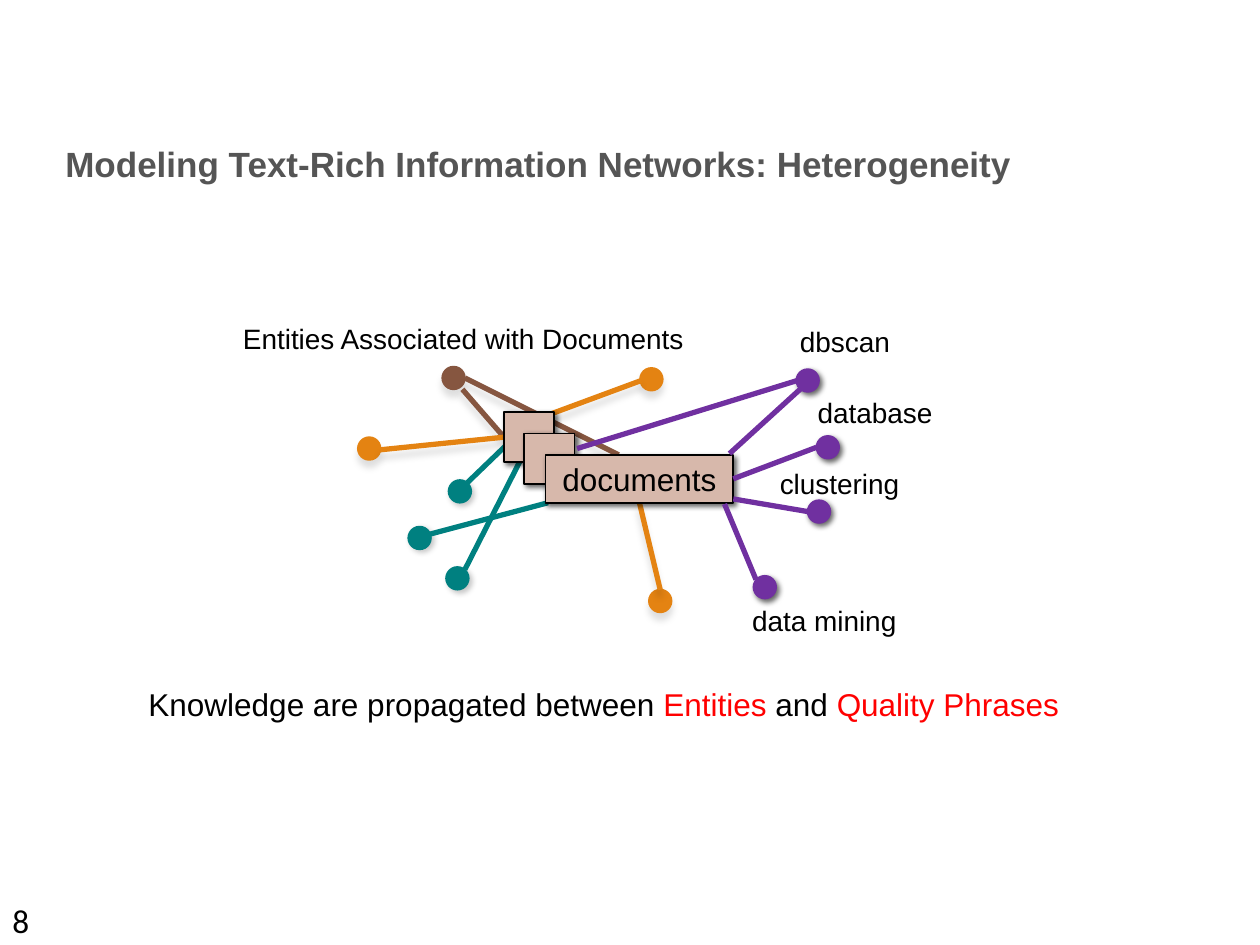
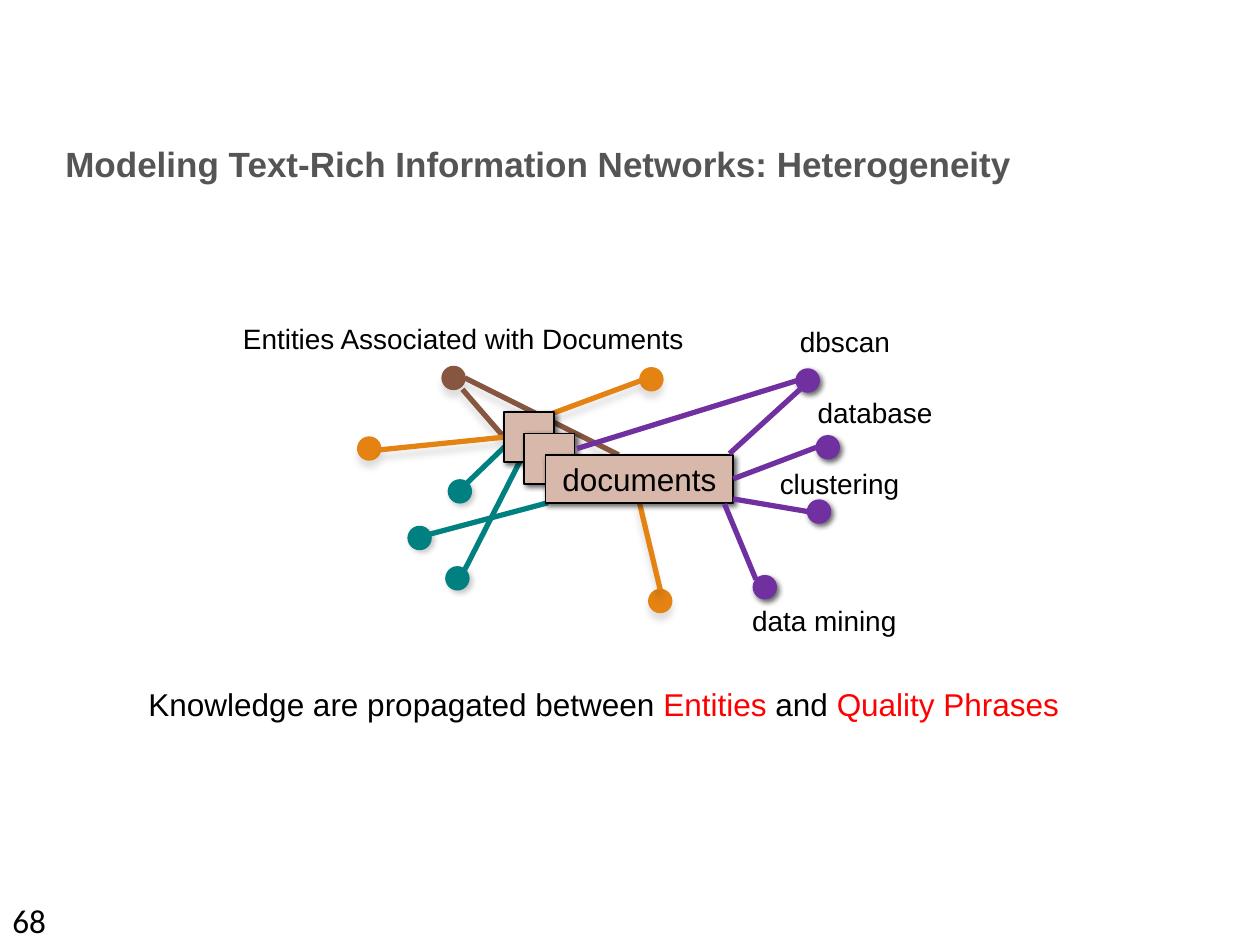
"""Build two slides on heterogeneity in text-rich information networks."""
from dataclasses import dataclass

from lxml import etree
from pptx import Presentation
from pptx.dml.color import RGBColor
from pptx.enum.shapes import MSO_CONNECTOR, MSO_SHAPE
from pptx.enum.text import MSO_ANCHOR, MSO_AUTO_SIZE, PP_ALIGN
from pptx.oxml.ns import qn
from pptx.util import Inches, Pt

OVAL, RECT = MSO_SHAPE.OVAL, MSO_SHAPE.RECTANGLE
STRAIGHT = MSO_CONNECTOR.STRAIGHT
CENTER, MIDDLE = PP_ALIGN.CENTER, MSO_ANCHOR.MIDDLE
FIT_SHAPE, FIT_NONE = MSO_AUTO_SIZE.SHAPE_TO_FIT_TEXT, MSO_AUTO_SIZE.NONE
LEFT, BOTTOM, RIGHT = 1, 2, 3


@dataclass(frozen=True)
class Theme:
    """Colours, fonts, sizes and shadows (opacity %, blur, distance, angle)."""
    font: str = "Arial"
    number_font: str = "Calibri"
    black: str = "000000"
    title: str = "555555"
    accent: str = "FF0000"
    orange: str = "E48312"
    teal: str = "008080"
    brown: str = "865640"
    purple: str = "7030A0"
    document: str = "D7B8AB"
    title_size: int = 20
    number_size: int = 19
    body_size: int = 18
    label_size: int = 16
    dot: float = 0.18
    edge_width: int = 3
    drop: tuple = (12, 4, 4, 90)
    light: tuple = (21, 3, 2, 45)
    strong: tuple = (60, 3, 2, 45)


T = Theme()

ENTITY_DOTS = (
    (T.orange, T.drop, ((5.15, 4.68), (5.08, 2.92), (2.84, 3.47))),
    (T.teal, T.light, ((3.56, 3.81), (3.54, 4.5), (3.24, 4.18))),
    (T.brown, T.drop, ((3.51, 2.91),)),
)
ENTITY_EDGES = (
    (T.teal, None, ((3.69, 4.52, 4.29, 3.34), (3.71, 3.83, 4.24, 3.32),
                    (3.41, 4.24, 4.35, 3.99))),
    (T.brown, T.drop, ((3.69, 3, 4.91, 3.61),)),
    (T.orange, T.drop, ((5.09, 3.02, 4.36, 3.29),)),
)
PHRASE_DOTS = ((6.32, 2.93), (6.48, 3.46), (6.41, 3.97), (5.98, 4.57))
PHRASE_EDGES = ((6.35, 3.09, 5.79, 3.6), (6.41, 4.06, 5.82, 3.96),
                (6, 4.6, 5.75, 4), (6.36, 3.01, 4.58, 3.56))
LABELS = (
    ("clustering", 6.09, 3.65, 1.19),
    ("data mining", 5.87, 4.74, 1.39),
    ("Entities Associated with Documents", 1.83, 2.5, 3.78),
    ("dbscan", 6.25, 2.53, 0.96),
    ("database", 6.39, 3.09, 1.15),
)


def rgb(color):
    """Turn a hex string into a colour."""
    return RGBColor.from_string(color)


def set_shadow(sp, shadow):
    """Replace the theme shadow by the given one, or by none."""
    effects = etree.SubElement(sp._element.spPr, qn("a:effectLst"))
    if shadow:
        opacity, blur, distance, angle = shadow
        outer = etree.SubElement(
            effects, qn("a:outerShdw"), blurRad=str(Pt(blur)),
            dist=str(Pt(distance)), dir=str(angle * 60000), rotWithShape="0")
        color = etree.SubElement(outer, qn("a:srgbClr"), val=T.black)
        etree.SubElement(color, qn("a:alpha"), val=str(opacity * 1000))


def add_run(p, text, size, color=T.black, font=T.font, bold=False):
    """Append one formatted run."""
    r = p.add_run()
    r.text = text
    r.font.name = font
    r.font.size = Pt(size)
    r.font.bold = bold
    r.font.color.rgb = rgb(color)


def add_text(s, left, top, width, height, wrap=False):
    """Add a text box and return its first paragraph."""
    tf = s.shapes.add_textbox(*map(Inches, (left, top, width, height))).text_frame
    tf.word_wrap = wrap
    tf.auto_size = FIT_NONE if wrap else FIT_SHAPE
    return tf.paragraphs[0]


def add_box(s, kind, left, top, width, height, fill, line, shadow):
    """Add a filled preset shape."""
    sp = s.shapes.add_shape(kind, *map(Inches, (left, top, width, height)))
    sp.fill.solid()
    sp.fill.fore_color.rgb = rgb(fill)
    sp.line.color.rgb = rgb(line)
    sp.line.width = Pt(1)
    set_shadow(sp, shadow)
    return sp


def add_dots(s, color, shadow, places):
    """Add one network node at each place."""
    for left, top in places:
        add_box(s, OVAL, left, top, T.dot, T.dot, color, color, shadow)


def add_edge(s, color, shadow, ends):
    """Add a network edge."""
    line = s.shapes.add_connector(STRAIGHT, *map(Inches, ends))
    line.line.color.rgb = rgb(color)
    line.line.width = Pt(T.edge_width)
    set_shadow(line, shadow)
    return line


def add_document(s, left, top, width, height):
    """Add one sheet of the document stack."""
    return add_box(s, RECT, left, top, width, height, T.document, T.black, T.strong)


def add_network(s):
    """Draw entities, the document stack and the quality phrases."""
    for color, shadow, places in ENTITY_DOTS:
        add_dots(s, color, shadow, places)
    for color, shadow, edges in ENTITY_EDGES:
        for ends in edges:
            add_edge(s, color, shadow, ends)
    brown_edge = add_edge(s, T.brown, T.drop, (3.67, 3.09, 4, 3.47))
    left_edge = add_edge(s, T.orange, T.drop, (3.02, 3.57, 4, 3.47))
    lower_edge = add_edge(s, T.orange, T.drop, (5.24, 4.68, 5.07, 3.99))

    back = add_document(s, 4, 3.27, 0.4, 0.4)
    add_document(s, 4.16, 3.44, 0.4, 0.4)
    front = add_document(s, 4.33, 3.61, 1.49, 0.38)
    tf = front.text_frame
    tf.vertical_anchor = MIDDLE
    p = tf.paragraphs[0]
    p.alignment = CENTER
    add_run(p, "documents", T.body_size)

    add_dots(s, T.purple, T.strong, PHRASE_DOTS)
    for ends in PHRASE_EDGES:
        add_edge(s, T.purple, None, ends)
    right_edge = add_edge(s, T.purple, None, (6.48, 3.55, 5.82, 3.8))

    brown_edge.end_connect(back, LEFT)
    left_edge.end_connect(back, LEFT)
    lower_edge.end_connect(front, BOTTOM)
    right_edge.end_connect(front, RIGHT)


def add_labels(s):
    """Name the entities and the phrases."""
    for text, left, top, width in LABELS:
        add_run(add_text(s, left, top, width, 0.37), text, T.label_size)


def add_title(s, text):
    """Add the slide title."""
    add_run(add_text(s, 0.42, 1.08, 7.77, 0.44), text, T.title_size, T.title, bold=True)


def add_number(s, number):
    """Add the slide number at the bottom left."""
    p = add_text(s, 0, 7.1, 1.08, 0.4, wrap=True)
    add_run(p, str(number), T.number_size, font=T.number_font)


def add_takeaway(s):
    """Add the closing sentence with its highlighted terms."""
    p = add_text(s, 1.08, 5.39, 7.58, 0.4)
    for text, color in (("Knowledge are propagated between ", T.black),
                        ("Entities ", T.accent), ("and ", T.black),
                        ("Quality Phrases", T.accent)):
        add_run(p, text, T.body_size, color)


def add_heterogeneity_slide(prs, number):
    """Add one slide with the whole network."""
    s = prs.slides.add_slide(prs.slide_layouts[6])
    add_number(s, number)
    add_network(s)
    add_title(s, "Modeling Text-Rich Information Networks: Heterogeneity")
    add_labels(s)
    add_takeaway(s)


def main():
    """Build and save the deck."""
    prs = Presentation()
    prs.slide_width, prs.slide_height = Inches(10), Inches(7.5)
    for number in (8, 68):
        add_heterogeneity_slide(prs, number)
    prs.save("out.pptx")


if __name__ == "__main__":
    main()
